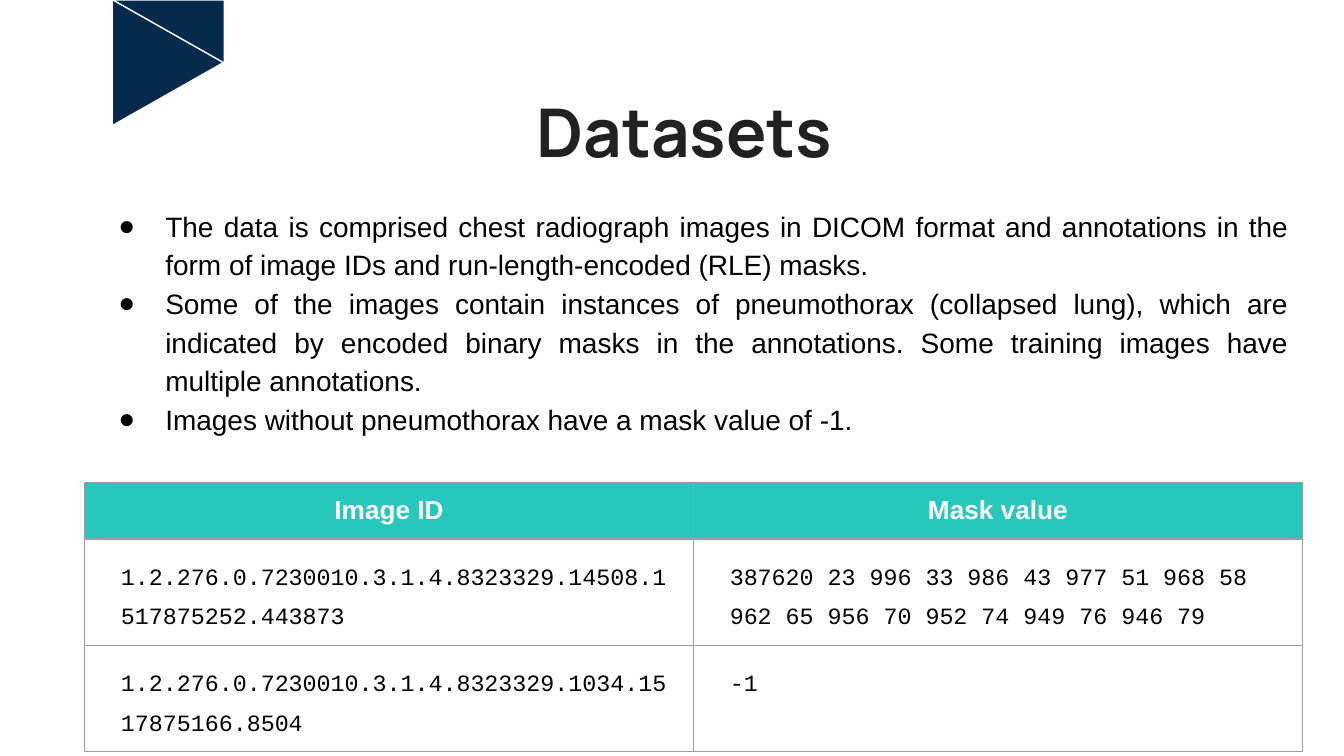
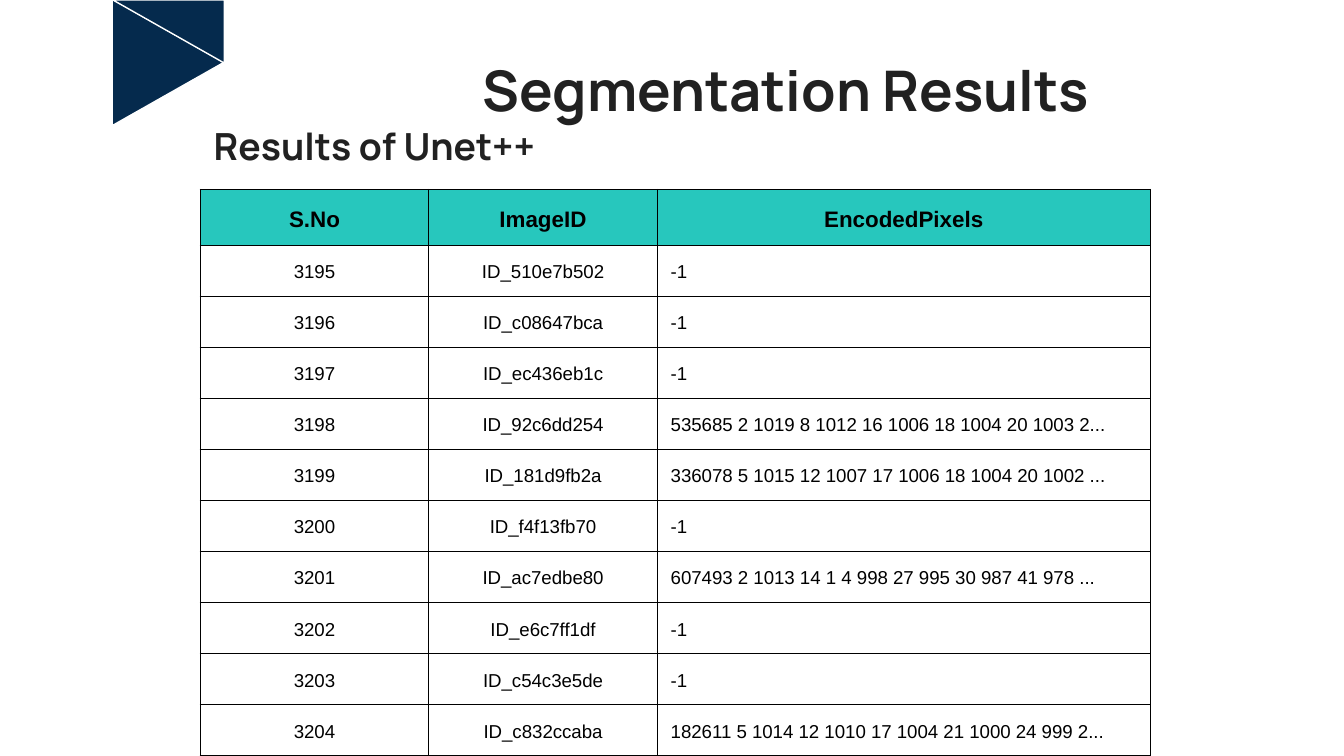
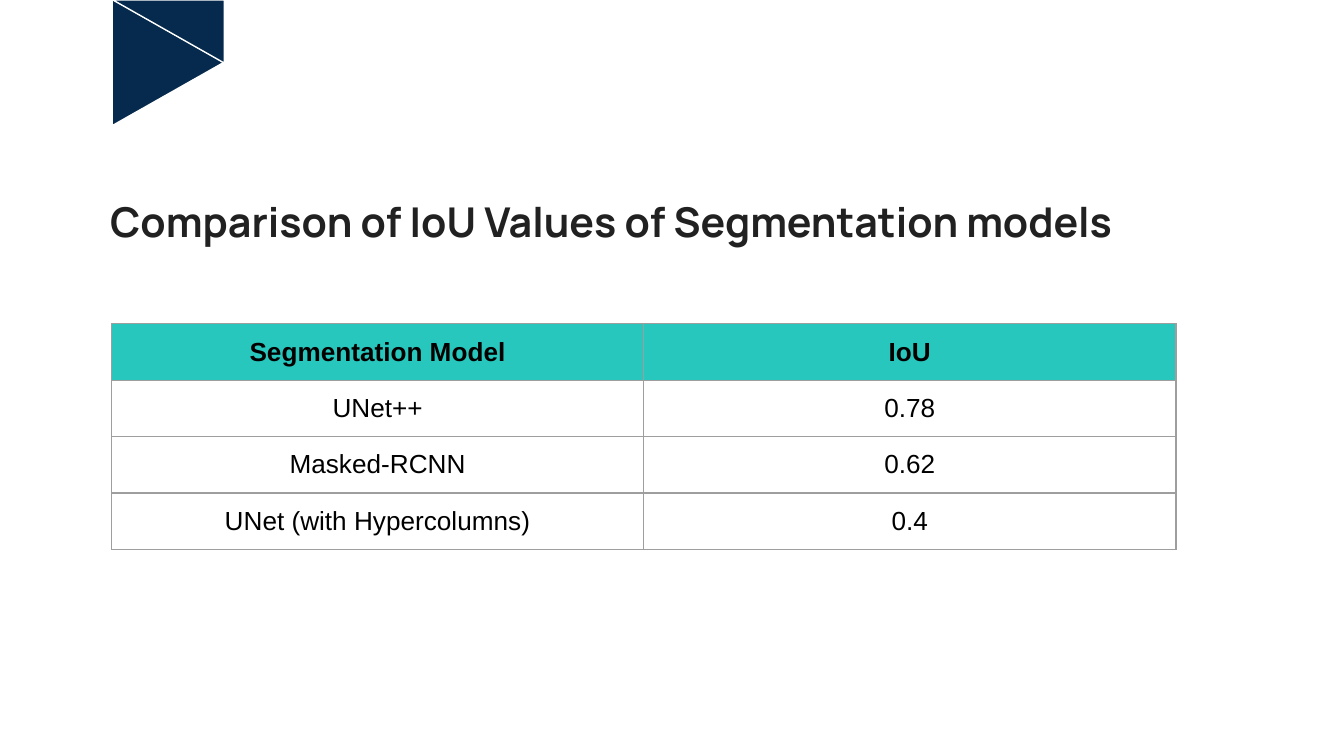
from dataclasses import dataclass

from lxml import etree
from pptx import Presentation, util as u
from pptx.dml.color import RGBColor
from pptx.enum import shapes, text
from pptx.oxml import ns


@dataclass(frozen=True)
class Theme:
    navy: str = "052A4D"
    teal: str = "27C7BD"
    ink: str = "212121"
    black: str = "000000"
    white: str = "FFFFFF"
    gray: str = "9E9E9E"
    heading: str = "Manrope"
    body: str = "Arial"
    code: str = "Courier New"
    title_size: float = 36
    results_size: float = 30
    comparison_size: float = 22
    subtitle_size: float = 20
    body_size: float = 15
    table_size: float = 14
    code_size: float = 12.5
    header_size: float = 12
    small_size: float = 10
    line_width: float = 0.75


THEME = Theme()
WIDTH = u.Inches(10)
HEIGHT = u.Inches(5.625)
GRID_COLUMNS = 100
LEFT, CENTER, JUSTIFY = (text.PP_ALIGN.LEFT, text.PP_ALIGN.CENTER,
                         text.PP_ALIGN.JUSTIFY)

BULLETS = [
    "The data is comprised chest radiograph images in DICOM format and "
    "annotations in the form of image IDs and run-length-encoded (RLE) masks.",
    "Some of the images contain instances of pneumothorax (collapsed lung), "
    "which are indicated by encoded binary masks in the annotations. Some "
    "training images have multiple annotations.",
    "Images without pneumothorax have a mask value of -1.",
]
MASKS = [
    ["Image ID", "Mask value"],
    ["1.2.276.0.7230010.3.1.4.8323329.14508.1517875252.443873",
     "387620 23 996 33 986 43 977 51 968 58 962 65 956 70 952 74 949 76 946 79"],
    ["1.2.276.0.7230010.3.1.4.8323329.1034.1517875166.8504", "-1"],
]
PREDICTIONS = [
    ("510e7b502", "-1"),
    ("c08647bca", "-1"),
    ("ec436eb1c", "-1"),
    ("92c6dd254", "535685 2 1019 8 1012 16 1006 18 1004 20 1003 2..."),
    ("181d9fb2a", "336078 5 1015 12 1007 17 1006 18 1004 20 1002 ..."),
    ("f4f13fb70", "-1"),
    ("ac7edbe80", "607493 2 1013 14 1 4 998 27 995 30 987 41 978 ..."),
    ("e6c7ff1df", "-1"),
    ("c54c3e5de", "-1"),
    ("c832ccaba", "182611 5 1014 12 1010 17 1004 21 1000 24 999 2..."),
]
SCORES = [
    ["Segmentation Model", "IoU"],
    ["UNet++", "0.78"],
    ["Masked-RCNN", "0.62"],
    ["UNet (with Hypercolumns)", "0.4"],
]


def grid(units):
    return round(WIDTH * units / GRID_COLUMNS)


def color(value):
    return RGBColor.from_string(value)


def apply_format(target, values):
    for name, value in values.items():
        setattr(target, name, value)


def place(shape, area):
    names = ("left", "top", "width", "height")
    apply_format(shape, dict(zip(names, map(grid, area))))


def add_run(paragraph, words, size, font=THEME.body, ink=THEME.black, bold=False):
    run = paragraph.add_run()
    run.text = words
    apply_format(run.font, {"size": u.Pt(size), "name": font, "bold": bold})
    run.font.color.rgb = color(ink)


def add_element(parent, tag, **attributes):
    return etree.SubElement(parent, ns.qn(tag), attributes)


def set_indent(paragraph, margin, first_line):
    properties = paragraph._p.get_or_add_pPr()
    properties.set("marL", str(grid(margin)))
    properties.set("indent", str(grid(first_line)))
    return properties


def format_frame(frame, anchor):
    apply_format(frame, {
        "word_wrap": True, "auto_size": text.MSO_AUTO_SIZE.NONE,
        "vertical_anchor": anchor,
        **{f"margin_{side}": grid(1) for side in ("left", "right", "top", "bottom")},
    })


def add_title(slide, area, lines, margin=0, first_line=0):
    title = slide.shapes.title
    place(title, area)
    format_frame(title.text_frame, text.MSO_ANCHOR.BOTTOM)
    paragraph = title.text_frame.paragraphs[0]
    paragraph.alignment = LEFT
    set_indent(paragraph, margin, first_line)
    for number, (words, size) in enumerate(lines):
        if number:
            paragraph.add_line_break()
        add_run(paragraph, words, size, THEME.heading, THEME.ink, True)


def add_bullets(slide, area, items):
    body = slide.placeholders[1]
    place(body, area)
    frame = body.text_frame
    format_frame(frame, text.MSO_ANCHOR.TOP)
    for number, item in enumerate(items):
        paragraph = frame.add_paragraph() if number else frame.paragraphs[0]
        apply_format(paragraph, {"alignment": JUSTIFY, "line_spacing": 1.15,
                                 "space_before": u.Pt(0)})
        properties = set_indent(paragraph, 5, -3.5)
        add_element(add_element(properties, "a:buClr"), "a:srgbClr", val=THEME.black)
        add_element(properties, "a:buFont", typeface=THEME.body)
        add_element(properties, "a:buChar", char="●")
        add_run(paragraph, item, THEME.body_size)


def set_borders(cell, ink):
    properties = cell._tc.get_or_add_tcPr()
    for index, side in enumerate(("a:lnL", "a:lnR", "a:lnT", "a:lnB")):
        line = etree.Element(ns.qn(side), w=str(u.Pt(THEME.line_width)))
        add_element(add_element(line, "a:solidFill"), "a:srgbClr", val=ink)
        properties.insert(index, line)


def add_table(slide, origin, widths, heights, rows, header, body, border,
              alignments, spacing=(1, 1), indent=0):
    area = (*origin, sum(widths), sum(heights))
    table = slide.shapes.add_table(len(rows), len(widths), *map(grid, area)).table
    apply_format(table, {"first_row": False, "horz_banding": False})
    for column, width in zip(table.columns, widths):
        column.width = grid(width)
    for row_number, values in enumerate(rows):
        is_header = row_number == 0
        table.rows[row_number].height = grid(heights[row_number])
        for column_number, words in enumerate(values):
            cell = table.cell(row_number, column_number)
            apply_format(cell, {f"margin_{side}": grid(1)
                                for side in ("left", "right", "top", "bottom")})
            if is_header:
                cell.fill.solid()
                cell.fill.fore_color.rgb = color(THEME.teal)
            else:
                cell.fill.background()
            set_borders(cell, border)
            paragraph = cell.text_frame.paragraphs[0]
            apply_format(paragraph, {
                "alignment": CENTER if is_header else alignments[column_number],
                "line_spacing": spacing[0 if is_header else 1],
            })
            if indent and not is_header:
                set_indent(paragraph, indent, 0)
            add_run(paragraph, words, **(header if is_header else body))


def add_corner_mark(presentation, slide):
    triangles = [
        (shapes.MSO_SHAPE.ISOSCELES_TRIANGLE, (7.8, 0.5, 9.4, 8.3), 90, False),
        (shapes.MSO_SHAPE.RIGHT_TRIANGLE, (10.2, -1.8, 4.7, 8.3), 270, True),
    ]
    for number, (preset, area, rotation, flipped) in enumerate(triangles):
        shape = slide.shapes.add_shape(preset, *map(grid, area))
        apply_format(shape, {"rotation": rotation,
                             "name": f"Corner triangle {number + 1}"})
        shape.shadow.inherit = False
        shape.fill.solid()
        shape.fill.fore_color.rgb = color(THEME.navy)
        shape.line.color.rgb = color(THEME.white)
        shape.line.width = u.Pt(THEME.line_width)
        element = shape._element
        if flipped:
            element.spPr.find(ns.qn("a:xfrm")).set("flipH", "1")
        element.nvSpPr.cNvPr.set("id", str(100 + number))
        presentation.slide_master.shapes._spTree.append(element)


def build_datasets(slide):
    add_title(slide, (8.9, 5.9, 83.3, 7.8), [("Datasets", THEME.title_size)], 25, 5)
    add_bullets(slide, (6.3, 14.2, 90.6, 20), BULLETS)
    add_table(slide, (6.3, 35.9), [45.3] * 2, [4.2, 7.9, 7.9], MASKS,
              {"size": THEME.table_size, "ink": THEME.white, "bold": True},
              {"size": THEME.code_size, "font": THEME.code},
              THEME.gray, [LEFT] * 2, spacing=(1, 1.5), indent=1.7)


def build_results(slide):
    add_title(slide, (14.9, 2, 72.4, 11.5),
              [("Segmentation Results", THEME.results_size),
               ("Results of Unet++", THEME.subtitle_size)], first_line=20)
    rows = [["S.No", "ImageID", "EncodedPixels"]]
    rows += [[str(number), f"ID_{image}", pixels]
             for number, (image, pixels) in enumerate(PREDICTIONS, 3195)]
    add_table(slide, (14.9, 14.1), [17, 17, 36.7], [4.1] + [3.8] * len(PREDICTIONS),
              rows, {"size": THEME.header_size, "bold": True},
              {"size": THEME.small_size}, THEME.black,
              [CENTER, CENTER, LEFT], spacing=(1.15, 1.15))


def build_comparison(slide):
    add_title(slide, (7.2, 13.4, 83.3, 5.9),
              [("Comparison of IoU Values of Segmentation models",
                THEME.comparison_size)])
    add_table(slide, (8.3, 24.1), [39.6] * 2, [4.2] * len(SCORES), SCORES,
              {"size": THEME.table_size, "bold": True},
              {"size": THEME.table_size}, THEME.gray, [CENTER] * 2)


def main():
    presentation = Presentation()
    apply_format(presentation, {"slide_width": WIDTH, "slide_height": HEIGHT})
    content, title_only = (presentation.slide_layouts[index] for index in (1, 5))
    pages = [(content, build_datasets), (title_only, build_results),
             (title_only, build_comparison)]
    for layout, build in pages:
        build(presentation.slides.add_slide(layout))
    add_corner_mark(presentation, presentation.slides[0])
    presentation.save("out.pptx")


if __name__ == "__main__":
    main()
